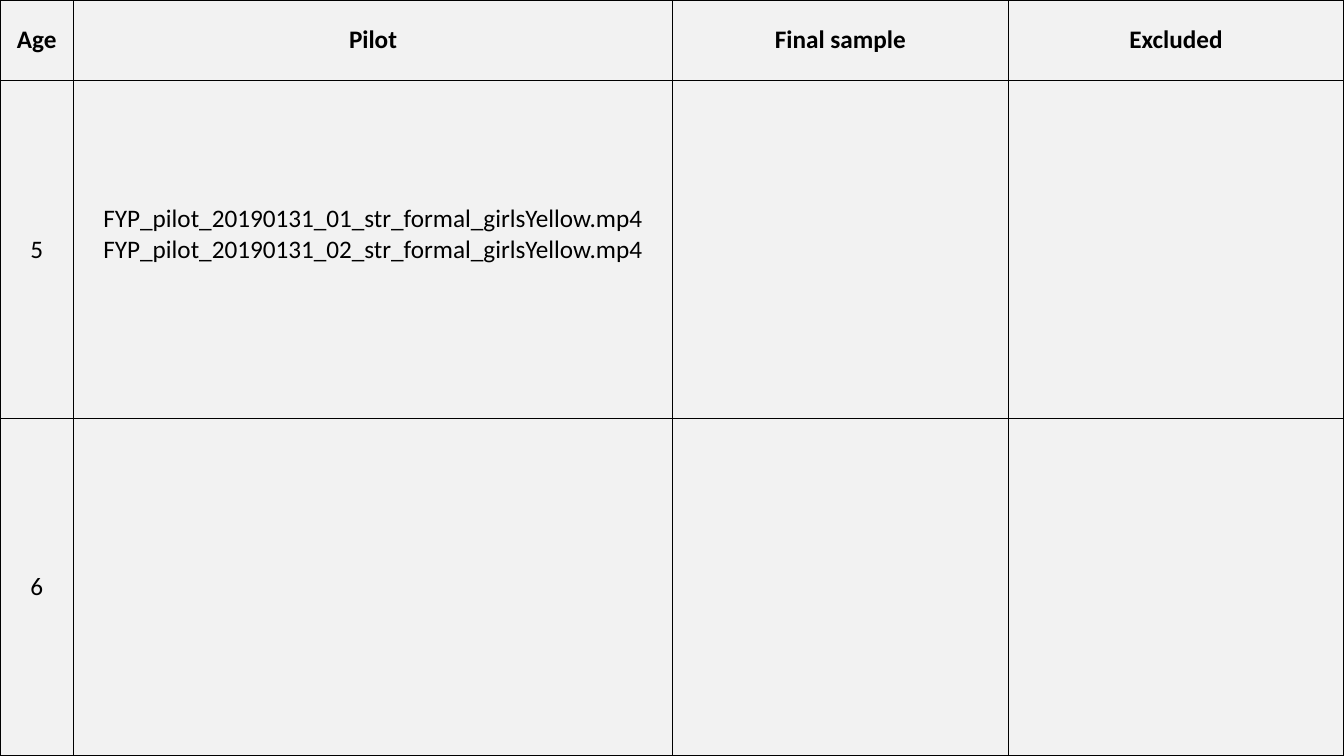
from dataclasses import dataclass

from lxml.etree import SubElement
from pptx import Presentation
from pptx.dml.color import RGBColor
from pptx.enum.text import MSO_ANCHOR, PP_ALIGN
from pptx.oxml.ns import qn
from pptx.util import Inches, Pt


@dataclass(frozen=True)
class Theme:
    background: str = "F2F2F2"
    ink: str = "000000"
    font: str = "Calibri"
    text_size: int = 18
    border_width: int = 1


THEME = Theme()
SLIDE_WIDTH, SLIDE_HEIGHT = 13.33, 7.5
COLUMN_WIDTHS = [0.73, 5.94, 3.33, 3.33]
ROW_HEIGHTS = [0.8, 3.35, 3.35]
PILOT_FILES = "\n".join(
    f"FYP_pilot_20190131_{number:02}_str_formal_girlsYellow.mp4" for number in (1, 2)
)
SAMPLE_ROWS = [
    ["Age", "Pilot", "Final sample", "Excluded"],
    ["5", PILOT_FILES, "", ""],
    ["6", "", "", ""],
]


def set_borders(cell):
    properties = cell._tc.get_or_add_tcPr()
    for position, side in enumerate(("lnL", "lnR", "lnT", "lnB")):
        border = properties.makeelement(
            qn(f"a:{side}"), {"w": str(Pt(THEME.border_width))}
        )
        fill = SubElement(border, qn("a:solidFill"))
        SubElement(fill, qn("a:srgbClr"), val=THEME.ink)
        properties.insert(position, border)


def format_cell(cell, text, bold):
    cell.fill.background()
    cell.vertical_anchor = MSO_ANCHOR.MIDDLE
    cell.text_frame.text = text
    for paragraph in cell.text_frame.paragraphs:
        paragraph.alignment = PP_ALIGN.CENTER
        paragraph.font.size = Pt(THEME.text_size)
        for run in paragraph.runs:
            run.font.name = THEME.font
            run.font.size = Pt(THEME.text_size)
            run.font.bold = bold
            run.font.color.rgb = RGBColor.from_string(THEME.ink)
    set_borders(cell)


def add_sample_table(slide):
    table = slide.shapes.add_table(
        len(ROW_HEIGHTS), len(COLUMN_WIDTHS),
        Inches(0), Inches(0), Inches(SLIDE_WIDTH), Inches(SLIDE_HEIGHT),
    ).table
    table.horz_banding = False
    for column, width in zip(table.columns, COLUMN_WIDTHS):
        column.width = Inches(width)
    for row, height in zip(table.rows, ROW_HEIGHTS):
        row.height = Inches(height)
    for row_index, texts in enumerate(SAMPLE_ROWS):
        for column_index, text in enumerate(texts):
            format_cell(table.cell(row_index, column_index), text, row_index == 0)
    # The file list sits half a line above the middle of its cell.
    table.cell(1, 1).margin_bottom = Inches(0.35)


def main():
    presentation = Presentation()
    presentation.slide_width = Inches(SLIDE_WIDTH)
    presentation.slide_height = Inches(SLIDE_HEIGHT)
    slide = presentation.slides.add_slide(presentation.slide_layouts[6])
    slide.background.fill.solid()
    slide.background.fill.fore_color.rgb = RGBColor.from_string(THEME.background)
    add_sample_table(slide)
    presentation.save("out.pptx")


if __name__ == "__main__":
    main()
